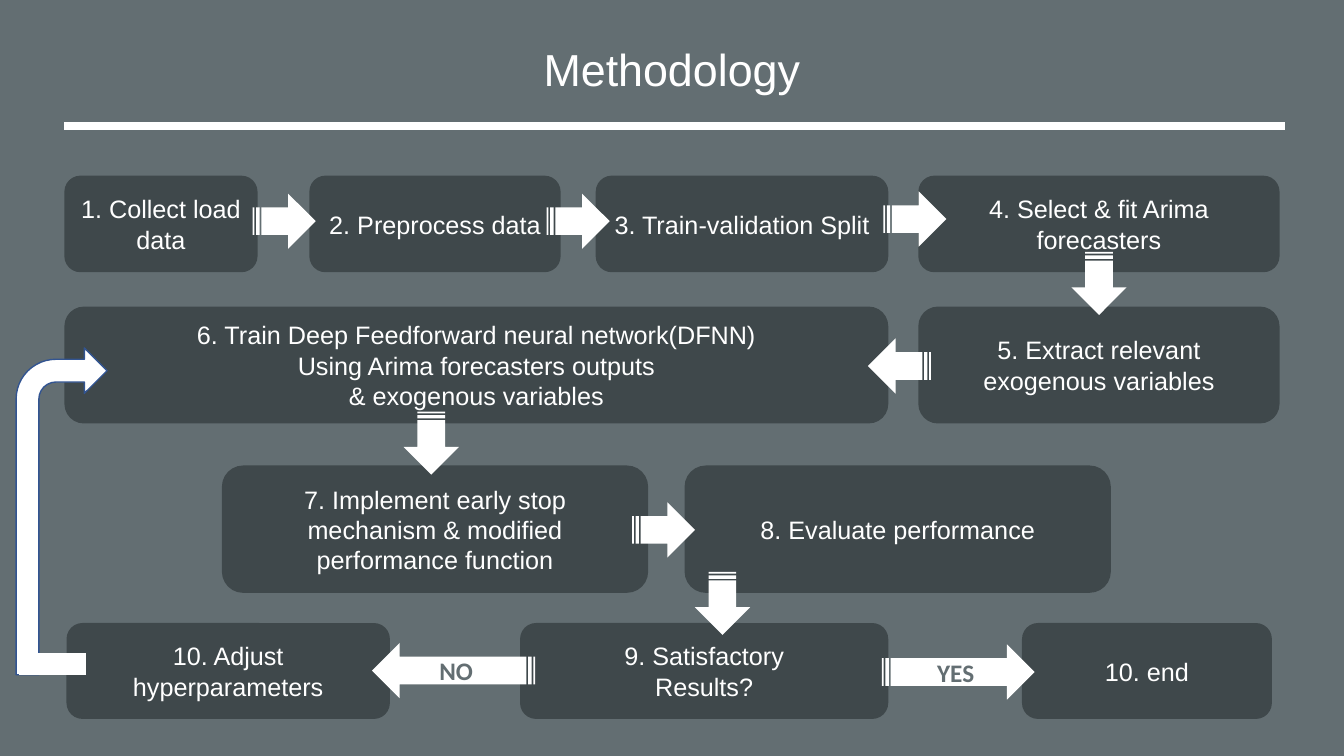
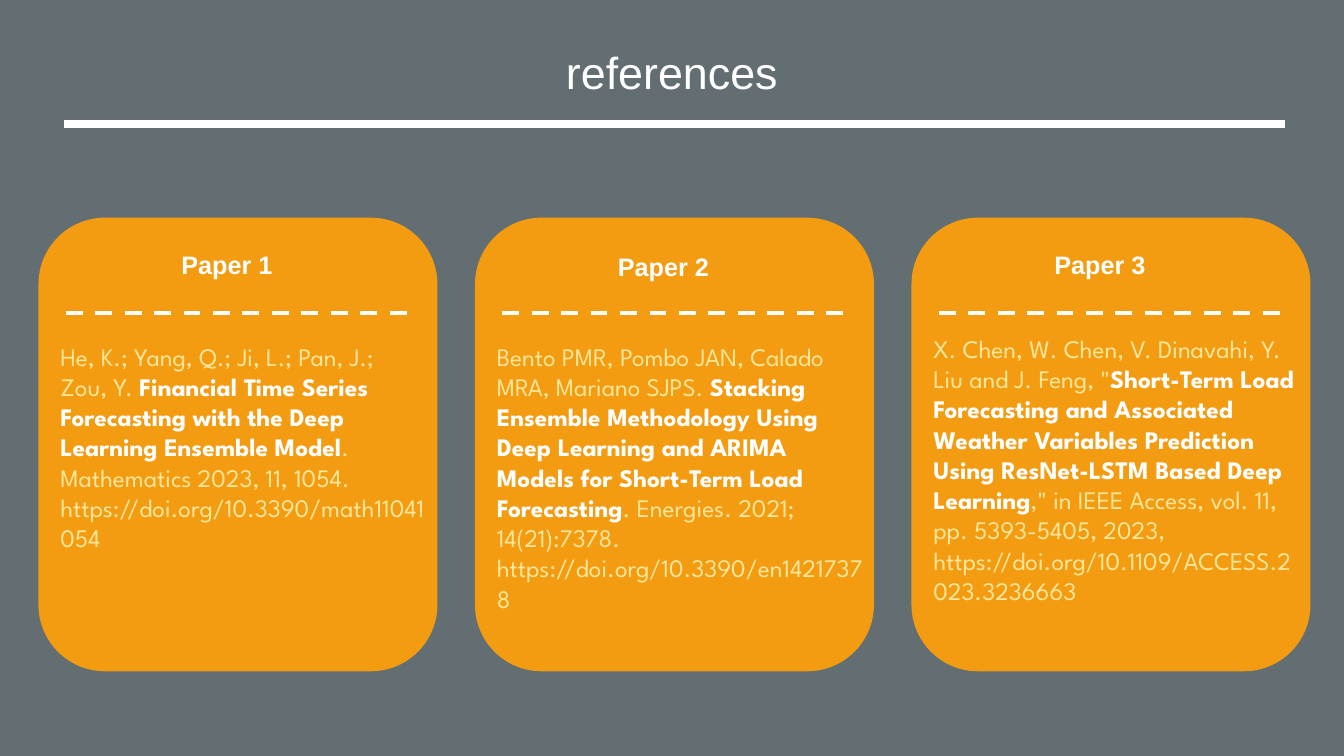
from lxml.etree import SubElement
from pptx import Presentation
from pptx.dml.color import RGBColor
from pptx.enum.dml import MSO_LINE
from pptx.enum.shapes import MSO_CONNECTOR, MSO_SHAPE
from pptx.enum.text import MSO_ANCHOR, PP_ALIGN
from pptx.oxml.ns import qn
from pptx.util import Pt

WHITE, SLATE, DARK = "FFFFFF", "636E72", "3F484B"
ORANGE, CREAM, NAVY = "F39C12", "FFE699", "325491"

# top, height, then boxes as (left, width, text)
ROWS = [
    (125.5, 69, [
        (46, 138, "1. Collect load data"),
        (221, 179.5, "2. Preprocess data"),
        (425.5, 209, "3. Train-validation Split"),
        (656, 258, "4. Select & fit Arima forecasters"),
    ]),
    (219, 83.5, [
        (656, 258, "5. Extract relevant exogenous variables"),
        (46, 588.5, "6. Train Deep Feedforward neural network(DFNN)\n"
                    "Using Arima forecasters outputs\n& exogenous variables"),
    ]),
    (332.5, 91, [
        (158.5, 304.5, "7. Implement early stop mechanism & modified performance function"),
        (489, 304.5, "8. Evaluate performance"),
    ]),
    (445, 68.5, [
        (371.5, 263, "9. Satisfactory\nResults?"),
        (730, 178.5, "10. end"),
        (47.5, 231, "10. Adjust hyperparameters"),
    ]),
]

STEP = 45
ARROWS = [
    (203, 158, "right", STEP, ""),
    (413, 158, "right", STEP, ""),
    (653.5, 156.5, "right", STEP, ""),
    (785, 202.5, "down", STEP, ""),
    (642.5, 261.5, "left", STEP, ""),
    (308, 316.5, "down", STEP, ""),
    (474, 378.5, "right", STEP, ""),
    (516, 431, "down", STEP, ""),
    (324, 479, "left", 116.5, "NO"),
    (684.5, 480, "right", 109, "YES"),
]

PAPERS = [
    ("Paper 1", 174.5, 240,
     "He, K.; Yang, Q.; Ji, L.; Pan, J.; Zou, Y. ",
     "Financial Time Series Forecasting with the Deep Learning Ensemble Model",
     ". Mathematics 2023, 11, 1054. https://doi.org/10.3390/math11041054"),
    ("Paper 2", 176, 240,
     "Bento PMR, Pombo JAN, Calado MRA, Mariano SJPS. ",
     "Stacking Ensemble Methodology Using Deep Learning and ARIMA Models "
     "for Short-Term Load Forecasting",
     ". Energies. 2021; 14(21):7378. https://doi.org/10.3390/en14217378"),
    ("Paper 3", 174.5, 234.5,
     "X. Chen, W. Chen, V. Dinavahi, Y. Liu and J. Feng, \"",
     "Short-Term Load Forecasting and Associated Weather Variables Prediction "
     "Using ResNet-LSTM Based Deep Learning",
     ",\" in IEEE Access, vol. 11, pp. 5393-5405, 2023, "
     "https://doi.org/10.1109/ACCESS.2023.3236663"),
]


def tint(text):
    return RGBColor.from_string(text)


def style(font, color=WHITE, size=18, name="Arial", bold=False):
    font.name, font.size, font.bold = name, Pt(size), bold
    font.color.rgb = tint(color)


def write(shape, text, align=PP_ALIGN.CENTER, anchor=MSO_ANCHOR.MIDDLE, **look):
    frame = shape.text_frame
    frame.text = text
    frame.word_wrap = True
    frame.vertical_anchor = anchor
    for para in frame.paragraphs:
        para.alignment = align
        for run in para.runs:
            style(run.font, **look)


def block(slide, kind, left, top, width, height, fill):
    shape = slide.shapes.add_shape(kind, Pt(left), Pt(top), Pt(width), Pt(height))
    shape.shadow.inherit = False
    shape.fill.solid()
    shape.fill.fore_color.rgb = tint(fill)
    shape.line.fill.background()
    return shape


def label(slide, left, top, width, height):
    return slide.shapes.add_textbox(Pt(left), Pt(top), Pt(width), Pt(height))


def rule(slide, left, top, width, weight):
    line = slide.shapes.add_connector(
        MSO_CONNECTOR.STRAIGHT, Pt(left), Pt(top), Pt(left + width), Pt(top))
    line.line.color.rgb = tint(WHITE)
    line.line.width = Pt(weight)
    SubElement(line._element.spPr, qn("a:effectLst"))
    return line


def start(deck, text, top, base):
    slide = deck.slides.add_slide(deck.slide_layouts[6])
    title = label(slide, 66, top, 828, 104.5)
    write(title, text, size=32)
    title.text_frame.paragraphs[0].line_spacing = 0.9
    rule(slide, 46, base, 872, 6)
    return slide


def arrow(slide, mid, level, way, length, text):
    shape = block(slide, MSO_SHAPE.STRIPED_RIGHT_ARROW,
                  mid - length / 2, level - 19.75, length, 39.5, WHITE)
    if way == "down":
        shape.rotation = 90
    elif way == "left":
        shape._element.spPr.find(qn("a:xfrm")).set("flipH", "1")
    if text:
        write(shape, text, color=SLATE, name="Calibri", bold=True)


def method(deck):
    slide = start(deck, "Methodology", -0.5, 90)
    for top, height, boxes in ROWS:
        for left, width, text in boxes:
            box = block(slide, MSO_SHAPE.ROUNDED_RECTANGLE, left, top, width, height, DARK)
            write(box, text)
    for item in ARROWS:
        arrow(slide, *item)
    loop = block(slide, MSO_SHAPE.BENT_ARROW, 11.5, 248.5, 65, 233.5, WHITE)
    loop.line.color.rgb = tint(NAVY)
    loop.line.width = Pt(1)
    block(slide, MSO_SHAPE.MATH_MINUS, 5, 440, 65, 68.5, WHITE)


def papers(deck):
    slide = start(deck, "references", 1.5, 88.5)
    for col, (name, head, body, *parts) in enumerate(PAPERS):
        left = 27.5 + col * 311.8
        block(slide, MSO_SHAPE.ROUNDED_RECTANGLE, left, 155.5, 285, 324, ORANGE)
        rule(slide, left + 19.5, 223.5, 245.5, 3).line.dash_style = MSO_LINE.DASH
        write(label(slide, left + 95, head, 97, 29), name, PP_ALIGN.LEFT,
              MSO_ANCHOR.TOP, bold=True)
        cite = label(slide, left + 8.5, body, 276.5, 225).text_frame
        cite.word_wrap = True
        for spot, part in enumerate(parts):
            run = cite.paragraphs[0].add_run()
            run.text = part
            main = spot == 1
            style(run.font, WHITE if main else CREAM, name="League Spartan", bold=main)


def main():
    """Build the methodology and references slides."""
    deck = Presentation()
    deck.slide_width, deck.slide_height = Pt(960), Pt(540)
    back = deck.slide_master.background.fill
    back.solid()
    back.fore_color.rgb = tint(SLATE)
    method(deck)
    papers(deck)
    deck.save("out.pptx")


if __name__ == "__main__":
    main()
